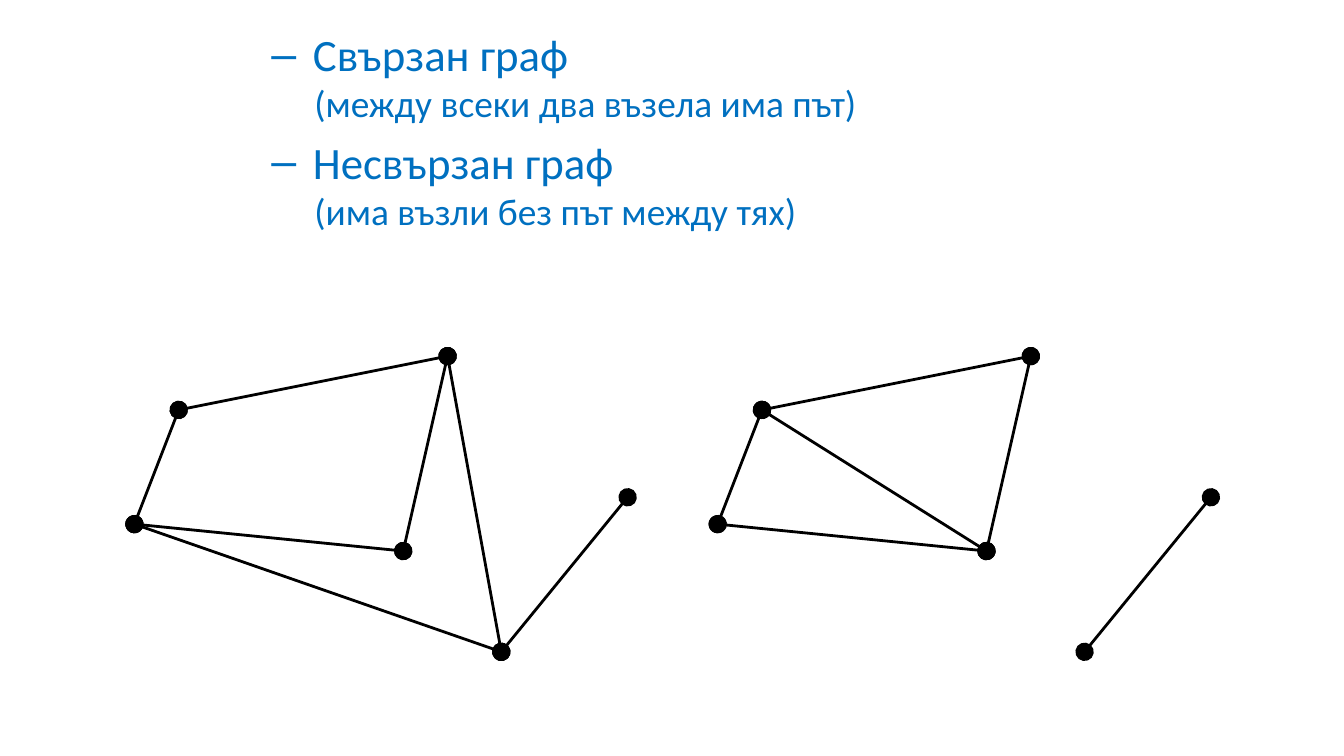
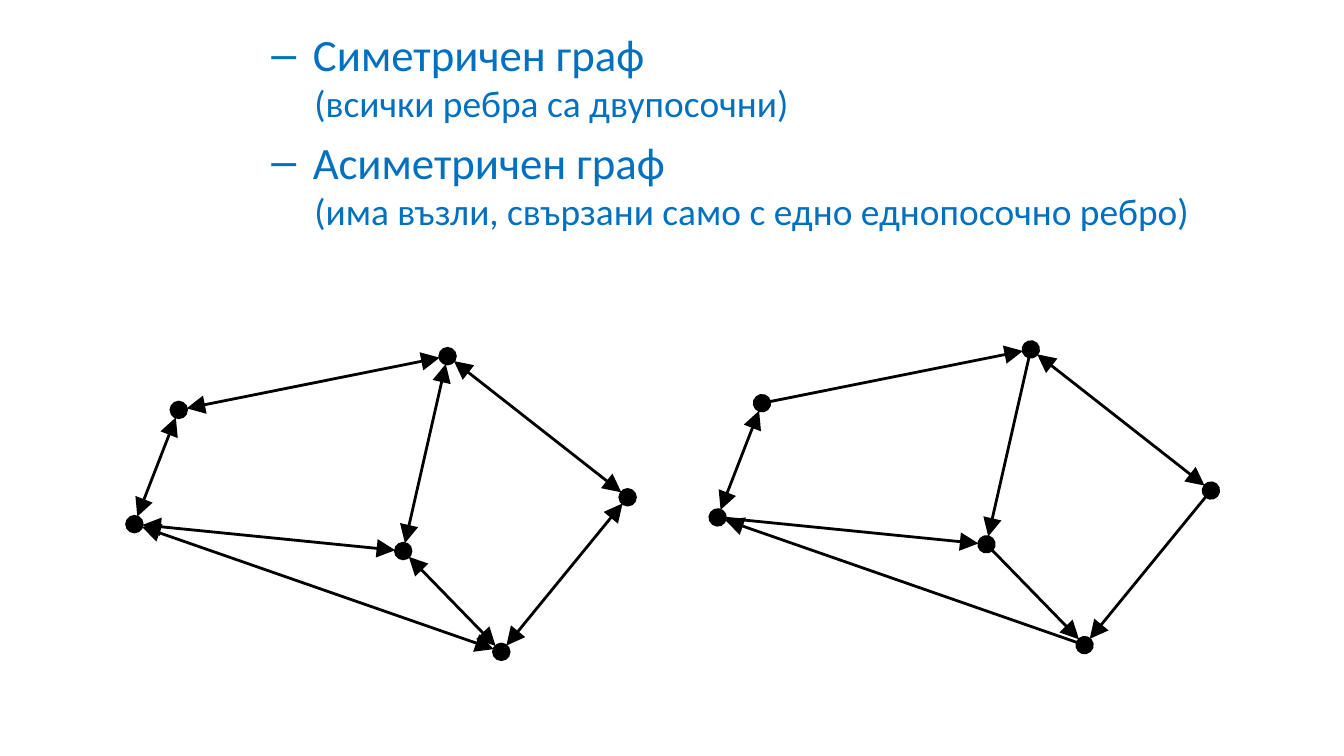
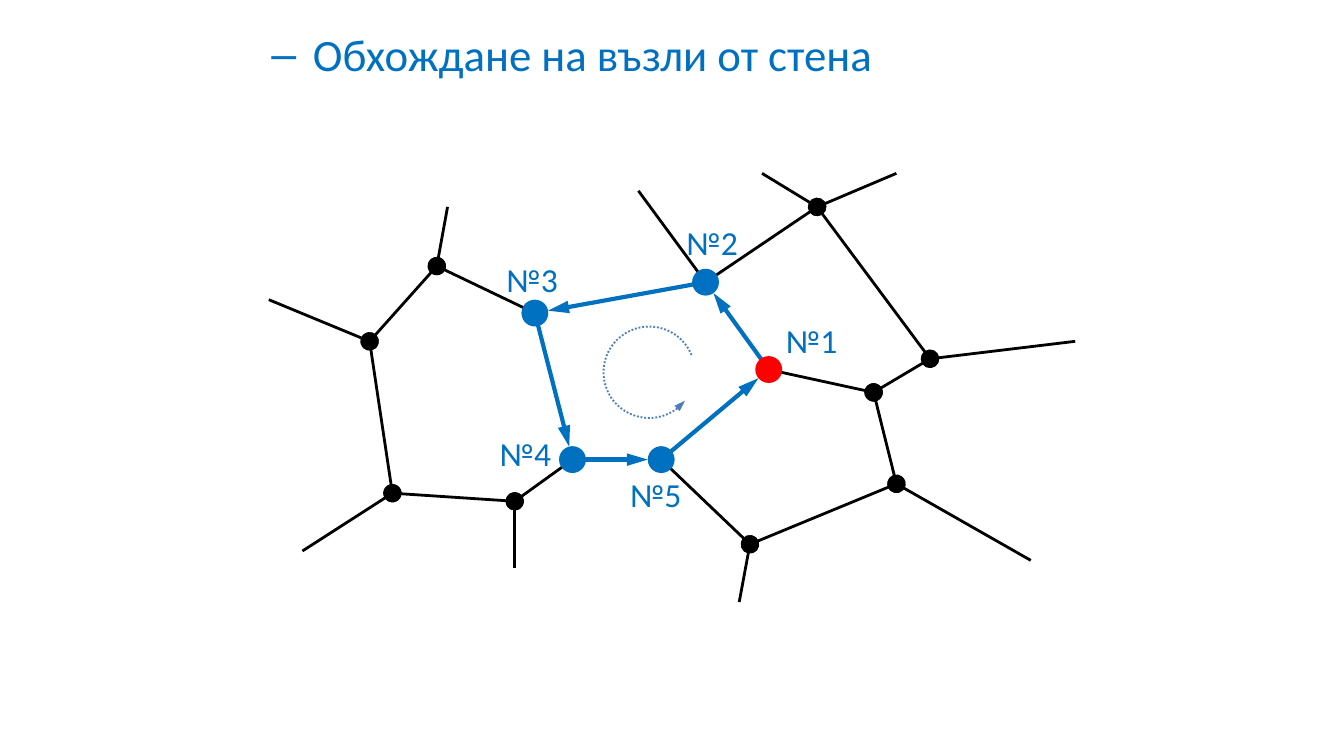
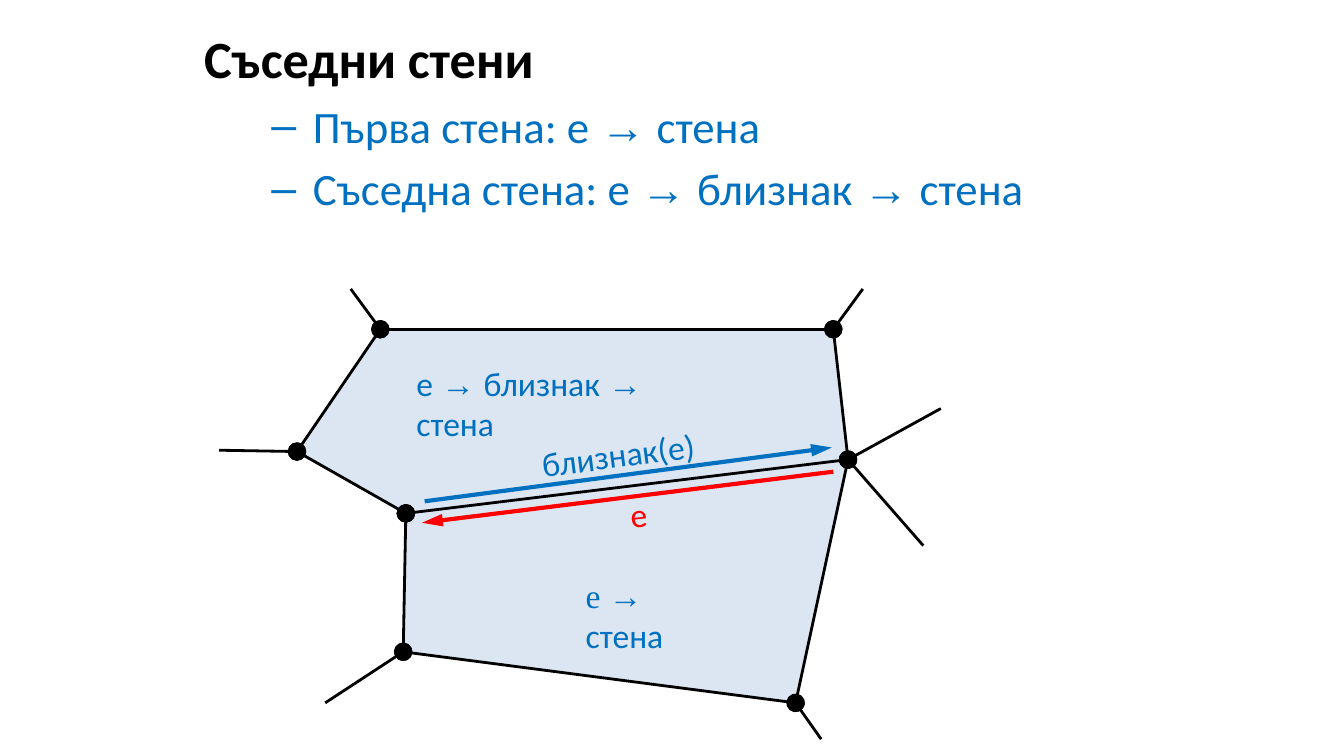
import math
import lxml.etree
import pptx
import pptx.dml.color
import pptx.enum.dml
import pptx.enum.shapes
import pptx.oxml.ns
import pptx.util

BLACK, BLUE, RED, PALE, STEEL = "000000", "0070C0", "FF0000", "DCE6F2", "4B7EBC"
SANS, SERIF = "Calibri", "Times New Roman"
hue = pptx.dml.color.RGBColor.from_string
qn = pptx.oxml.ns.qn
kinds = pptx.enum.shapes.MSO_SHAPE
ENDS = {"o": "oval", "<": "triangle", ">": "triangle"}

# A 16:9 slide, measured in square cells, ten to its width
deck = pptx.Presentation()
deck.slide_width = pptx.util.Inches(10)
deck.slide_height = deck.slide_width * 9 // 16
CELL = deck.slide_width // 10


def write(para, text, size, color, bold=False, lead=SANS):
    """Fill a paragraph; arrows are set in the serif font, the first part in lead."""
    for spot, part in enumerate(text.replace(" → ", "| → |").split("|")):
        run = para.add_run()
        run.text = part
        run.font.name = SERIF if "→" in part else SANS if spot else lead
        run.font.size = pptx.util.Pt(size)
        run.font.bold = bold
        run.font.color.rgb = hue(color)


def link(page, spots, edge, color=BLACK, thick=1.5, gap=0):
    """Draw an edge such as "a<>b"; arrow tips stop short of the node by gap."""
    start, head, tail, stop = edge
    (x1, y1), (x2, y2) = spots[start], spots[stop]
    share = gap / math.dist((x1, y1), (x2, y2))
    dx, dy = (x2 - x1) * share, (y2 - y1) * share
    if head == "<":
        x1, y1 = x1 + dx, y1 + dy
    if tail == ">":
        x2, y2 = x2 - dx, y2 - dy
    line = page.shapes.add_connector(
        pptx.enum.shapes.MSO_CONNECTOR.STRAIGHT,
        *[round(v * CELL) for v in (x1, y1, x2, y2)])
    line.line.color.rgb = hue(color)
    line.line.width = pptx.util.Pt(thick)
    breadth = "med" if thick > 2 else "lg"
    for tag, end in (("a:headEnd", head), ("a:tailEnd", tail)):
        if end != "-":
            lxml.etree.SubElement(line.line._get_or_add_ln(), qn(tag),
                                  type=ENDS[end], w=breadth, len="lg")
    lxml.etree.SubElement(line._element.spPr, qn("a:effectLst"))


# Body text: size, colour, bold, left margin, first-line indent, level
STYLES = {
    "head": (28, BLACK, True, 0, 0, 0),
    "item": (24, BLUE, False, 0.81, -0.31, 1),
    "note": (20, BLUE, False, 0.82, 0, 2),
}
BODIES = [
    [("item", "Свързан граф"), ("note", "(между всеки два възела има път)"),
     ("item", "Несвързан граф"), ("note", "(има възли без път между тях)")],
    [("item", "Симетричен граф"), ("note", "(всички ребра са двупосочни)"),
     ("item", "Асиметричен граф"),
     ("note", "(има възли, свързани само с едно еднопосочно ребро)")],
    [("item", "Обхождане на възли от стена")],
    [("head", "Съседни стени"), ("item", "Първа стена: е → стена"),
     ("item", "Съседна стена: е → близнак → стена")],
]
pages = []
for body in BODIES:
    page = deck.slides.add_slide(deck.slide_layouts[6])
    pages.append(page)
    box = page.shapes.add_textbox(*[round(v * CELL) for v in (1.42, 0.15, 8.58, 5.17)])
    box.text_frame.word_wrap = True
    for row, (style, text) in enumerate(body):
        size, color, bold, left, hang, level = STYLES[style]
        para = box.text_frame.add_paragraph() if row else box.text_frame.paragraphs[0]
        para.level = level
        if row and style != "note":
            para.space_before = pptx.util.Pt(size * 0.2)
        props = para._p.get_or_add_pPr()
        props.set("marL", str(round(left * CELL)))
        props.set("indent", str(round(hang * CELL)))
        if style == "item":
            lxml.etree.SubElement(props, qn("a:buFont"), typeface="Arial")
            lxml.etree.SubElement(props, qn("a:buChar"), char="–")
        write(para, text, size, color, bold)
plain, arrows, walk, faces = pages

# Slides 1 and 2: one six-node graph, shown left and right
graph = {"a": (1.33, 3.05), "b": (3.33, 2.65), "c": (4.67, 3.7),
         "d": (3, 4.1), "e": (1, 3.9), "f": (3.73, 4.85)}
right = {key: (x + 4.34, y) for key, (x, y) in graph.items()}
raised = {key: (x, y - 0.05) for key, (x, y) in right.items()}
for page, spots, edges in (
        (plain, graph, "eooa eood eoof aoob bood coof foob"),
        (plain, right, "eooa eood aood aoob bood coof"),
        (arrows, graph, "e<>a e<>d e<>f a<>b b<>d b<>c c<>f d<>f"),
        (arrows, raised, "e<>a eo>d e<of ao>b bo>d b<>c co>f do>f")):
    for edge in edges.split():
        link(page, spots, edge, gap=0.06)

# Dots on the two-way graph: short strokes with a round head
for x, y in graph.values():
    link(arrows, {"s": (x, y), "t": (x + 0.01, y)}, "so-t")

# Slide 3: numbered wall nodes, other nodes in small letters, loose ends in capitals
wall = {"5": (4.92, 3.42), "2": (5.25, 2.1), "3": (3.98, 2.33),
        "4": (4.26, 3.42), "1": (5.72, 2.75)}
mesh = wall | {
    "a": (3.25, 1.98), "b": (2.75, 2.54), "c": (2.92, 3.67), "d": (3.83, 3.73),
    "e": (5.58, 4.05), "f": (6.67, 3.6), "g": (6.5, 2.92), "h": (6.92, 2.67),
    "i": (6.08, 1.54), "A": (3.33, 1.54), "B": (2, 2.23), "C": (2.25, 4.1),
    "D": (3.83, 4.23), "E": (5.5, 4.48), "F": (7.67, 4.17), "H": (8, 2.54),
    "I": (6.67, 1.29), "J": (5.67, 1.29), "K": (4.75, 1.42)}
for edge in ("2--K f--F gooh 4ood aoo3 2ooi e--E goof d--D 5ooe cood fooe "
             "iooh h--H i--I i--J booa A--a booc B--b C--c 1oog").split():
    link(walk, mesh, edge)
for edge in "4->5 4<-3 3<-2 1->2 1<-5".split():
    link(walk, mesh, edge, BLUE, 2.25, 0.1)
for key, (x, y) in wall.items():
    node = walk.shapes.add_shape(
        kinds.OVAL, *[round(v * CELL) for v in (x - 0.1, y - 0.1, 0.2, 0.2)])
    node.shadow.inherit = False
    node.fill.solid()
    node.fill.fore_color.rgb = hue(RED if key == "1" else BLUE)
    node.line.fill.background()

# Turning sign inside the wall
turn = walk.shapes.add_shape(
    kinds.ARC, *[round(v * CELL) for v in (4.49, 2.43, 0.68, 0.68)])
turn.shadow.inherit = False
turn.adjustments[0], turn.adjustments[1] = 13.29, 192.94
turn.rotation = 180
turn._element.spPr.find(qn("a:xfrm")).set("flipH", "1")
turn.fill.background()
turn.line.color.rgb = hue(STEEL)
turn.line.width = pptx.util.Pt(1)
turn.line.dash_style = pptx.enum.dml.MSO_LINE.ROUND_DOT
lxml.etree.SubElement(turn.line._get_or_add_ln(), qn("a:tailEnd"),
                      type="triangle", w="sm", len="med")

# Slide 4: two faces that share an edge
cells = {
    "a": (6.31, 3.42), "b": (6.2, 2.45), "c": (2.83, 2.45), "d": (2.21, 3.36),
    "e": (3.02, 3.82), "f": (3, 4.85), "g": (5.92, 5.23), "A": (7, 3.04),
    "B": (6.42, 2.15), "C": (2.61, 2.15), "D": (1.63, 3.35), "F": (2.42, 5.23),
    "G": (6.11, 5.5), "H": (6.87, 4.06), "P": (3.14, 3.89), "Q": (6.2, 3.51),
    "R": (6.19, 3.33), "S": (3.16, 3.73)}
rim = [(round(cells[key][0] * CELL), round(cells[key][1] * CELL)) for key in "agfedcb"]
outline = faces.shapes.build_freeform(*rim[0])
outline.add_line_segments(rim[1:], close=True)
area = outline.convert_to_shape()
area.shadow.inherit = False
area.fill.solid()
area.fill.fore_color.rgb = hue(PALE)
area.line.fill.background()
for edge in ("aoob aoog dooe a--A fooe eooa dooc coob foog "
             "a--H g--G f--F d--D c--C b--B").split():
    link(faces, cells, edge)
link(faces, cells, "P<-Q", RED, 2.25)
link(faces, cells, "R<-S", BLUE, 2.25)

# Labels: slide, text, left, top, width, turn, colour, font of the first part
for page, text, x, y, width, angle, color, lead in (
        (walk, "№1", 5.75, 2.33, 0.67, 0, BLUE, SANS),
        (walk, "№2", 5.01, 1.6, 0.67, 0, BLUE, SANS),
        (walk, "№3", 3.67, 1.88, 0.67, 0, BLUE, SANS),
        (walk, "№4", 3.62, 3.17, 0.67, 0, BLUE, SANS),
        (walk, "№5", 4.59, 3.48, 0.67, 0, BLUE, SANS),
        (faces, "e", 4.59, 3.63, 0.33, 353.6, RED, SANS),
        (faces, "e → стена", 4.26, 4.23, 1.2, 0, BLUE, SERIF),
        (faces, "близнак(e)", 3.93, 3.18, 1.36, 352.6, BLUE, SANS),
        (faces, "e → близнак → стена", 3, 2.65, 2.4, 0, BLUE, SANS)):
    label = page.shapes.add_textbox(*[round(v * CELL) for v in (x, y, width, 0.4)])
    label.rotation = angle
    label.text_frame.word_wrap = True
    write(label.text_frame.paragraphs[0], text, 18, color, lead=lead)

deck.save("out.pptx")
